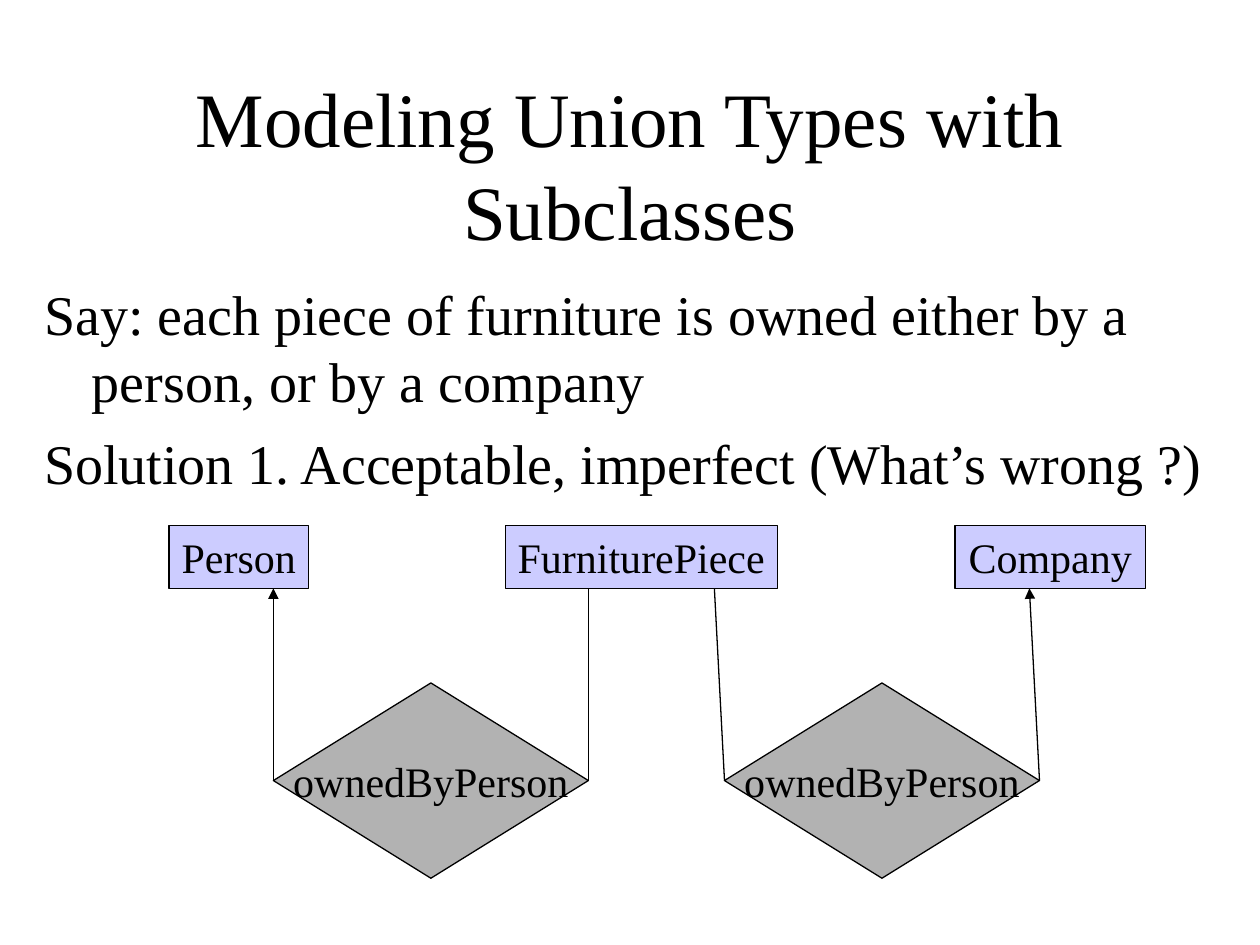
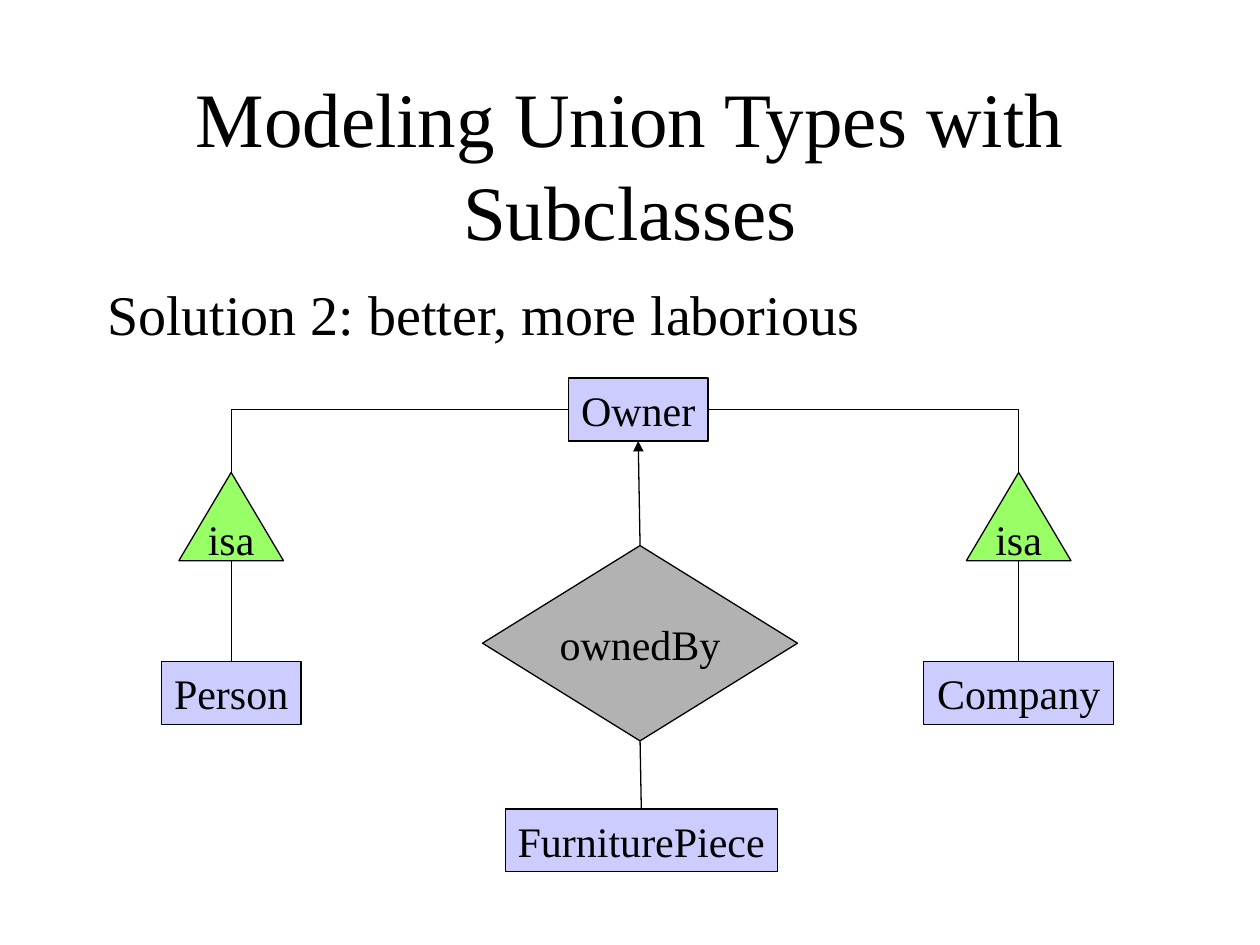
from pptx import Presentation
from pptx.dml.color import RGBColor
from pptx.enum.shapes import MSO_CONNECTOR, MSO_SHAPE
from pptx.enum.text import MSO_ANCHOR, MSO_AUTO_SIZE, PP_ALIGN
from pptx.oxml.ns import qn
from pptx.util import Inches, Pt
from lxml.etree import SubElement

COLORS = {
    "ink": "000000",
    "entity": "CCCCFF",
    "relationship": "B2B2B2",
    "isa": "99FF66",
}
FONT = "Times New Roman"
TITLE = "Modeling Union Types with Subclasses"
TOP, LEFT, BOTTOM, RIGHT = range(4)


def color(name):
    return RGBColor.from_string(COLORS[name])


def style(paragraph, size, alignment):
    paragraph.font.name = FONT
    paragraph.font.size = Pt(size)
    paragraph.font.color.rgb = color("ink")
    paragraph.alignment = alignment


def place(shape, left, top, width, height):
    shape.left, shape.top = Inches(left), Inches(top)
    shape.width, shape.height = Inches(width), Inches(height)


def add_titled_slide(deck, statements, left, width):
    slide = deck.slides.add_slide(deck.slide_layouts[1])
    title, body = slide.placeholders
    place(title, 0.75, 0.67, 8.5, 1.25)
    title.text_frame.text = TITLE
    title.text_frame.auto_size = MSO_AUTO_SIZE.NONE
    title.text_frame.vertical_anchor = MSO_ANCHOR.MIDDLE
    style(title.text_frame.paragraphs[0], 44, PP_ALIGN.CENTER)

    place(body, left, 2.17, width, 4.5)
    body.text_frame.text = "\n".join(statements)
    body.text_frame.auto_size = MSO_AUTO_SIZE.NONE
    for statement in body.text_frame.paragraphs:
        style(statement, 32, PP_ALIGN.LEFT)
        statement.space_before = Pt(8)
        properties = statement._p.get_or_add_pPr()
        properties.set("marL", str(Inches(0.38)))
        properties.set("indent", str(-Inches(0.38)))
        SubElement(properties, qn("a:buNone"))
    return slide


def add_node(slide, outline, fill, label, left, top, width, height):
    node = slide.shapes.add_shape(
        outline, Inches(left), Inches(top), Inches(width), Inches(height))
    node.shadow.inherit = False
    node.fill.solid()
    node.fill.fore_color.rgb = color(fill)
    node.line.color.rgb = color("ink")
    node.line.width = Pt(0.75)
    frame = node.text_frame
    frame.text = label
    frame.word_wrap = False
    frame.vertical_anchor = MSO_ANCHOR.MIDDLE
    style(frame.paragraphs[0], 24, PP_ALIGN.CENTER)
    return node


def add_entity(slide, label, left, top, width):
    return add_node(slide, MSO_SHAPE.RECTANGLE, "entity", label,
                    left, top, width, 0.5)


def add_relationship(slide, label, left, top):
    return add_node(slide, MSO_SHAPE.DIAMOND, "relationship", label,
                    left, top, 2.5, 1.55)


def add_isa(slide, left):
    return add_node(slide, MSO_SHAPE.ISOSCELES_TRIANGLE, "isa", "isa",
                    left, 3.75, 0.83, 0.7)


def side_middle(shape, side):
    across, down = [(0.5, 0), (0, 0.5), (0.5, 1), (1, 0.5)][side]
    return (int(shape.left + across * shape.width),
            int(shape.top + down * shape.height))


def add_link(slide, start, finish=None, point=None, arrow=False, bent=False):
    kind = MSO_CONNECTOR.ELBOW if bent else MSO_CONNECTOR.STRAIGHT
    link = slide.shapes.add_connector(
        kind, *side_middle(*start), *(point or side_middle(*finish)))
    link.begin_connect(*start)
    if finish:
        link.end_connect(*finish)
    link.line.color.rgb = color("ink")
    link.line.width = Pt(0.75)
    properties = link._element.spPr
    if bent:
        properties.find(qn("a:prstGeom")).set("prst", "bentConnector2")
    if arrow:
        SubElement(properties.find(qn("a:ln")), qn("a:tailEnd"), type="triangle")
    SubElement(properties, qn("a:effectLst"))


def build_separate_relationships(deck):
    slide = add_titled_slide(deck, [
        "Say: each piece of furniture is owned either by a person, or by a company",
        "Solution 1. Acceptable, imperfect (What’s wrong ?)",
    ], 0.25, 9.5)
    for label, left, width in [("FurniturePiece", 4.01, 2.16),
                               ("Person", 1.34, 1.11),
                               ("Company", 7.58, 1.51)]:
        add_entity(slide, label, left, 4.17, width)
    for left, furniture_side, furniture_x, owner_side, owner_x in [
            (2.17, RIGHT, 4.67, LEFT, 2.17),
            (5.75, LEFT, 5.67, RIGHT, 8.17)]:
        owned_by = add_relationship(slide, "ownedByPerson", left, 5.42)
        add_link(slide, (owned_by, furniture_side),
                 point=(Inches(furniture_x), Inches(4.67)))
        add_link(slide, (owned_by, owner_side),
                 point=(Inches(owner_x), Inches(4.67)), arrow=True)


def build_owner_hierarchy(deck):
    slide = add_titled_slide(
        deck, ["Solution 2: better, more laborious"], 0.75, 8.5)
    owner = add_entity(slide, "Owner", 4.51, 3, 1.11)
    owned_by = add_relationship(slide, "ownedBy", 3.83, 4.33)
    furniture = add_entity(slide, "FurniturePiece", 4.01, 6.42, 2.16)
    add_link(slide, (owned_by, TOP), (owner, BOTTOM), arrow=True)
    add_link(slide, (furniture, TOP), (owned_by, BOTTOM))
    for label, left, width, isa_left, owner_side in [
            ("Person", 1.28, 1.11, 1.42, LEFT),
            ("Company", 7.33, 1.51, 7.67, RIGHT)]:
        subclass = add_entity(slide, label, left, 5.25, width)
        isa = add_isa(slide, isa_left)
        add_link(slide, (subclass, TOP), point=side_middle(isa, BOTTOM))
        add_link(slide, (owner, owner_side), (isa, TOP), bent=True)


def main():
    deck = Presentation()
    deck.slide_width, deck.slide_height = Inches(10), Inches(7.5)
    build_separate_relationships(deck)
    build_owner_hierarchy(deck)
    deck.save("out.pptx")


if __name__ == "__main__":
    main()
